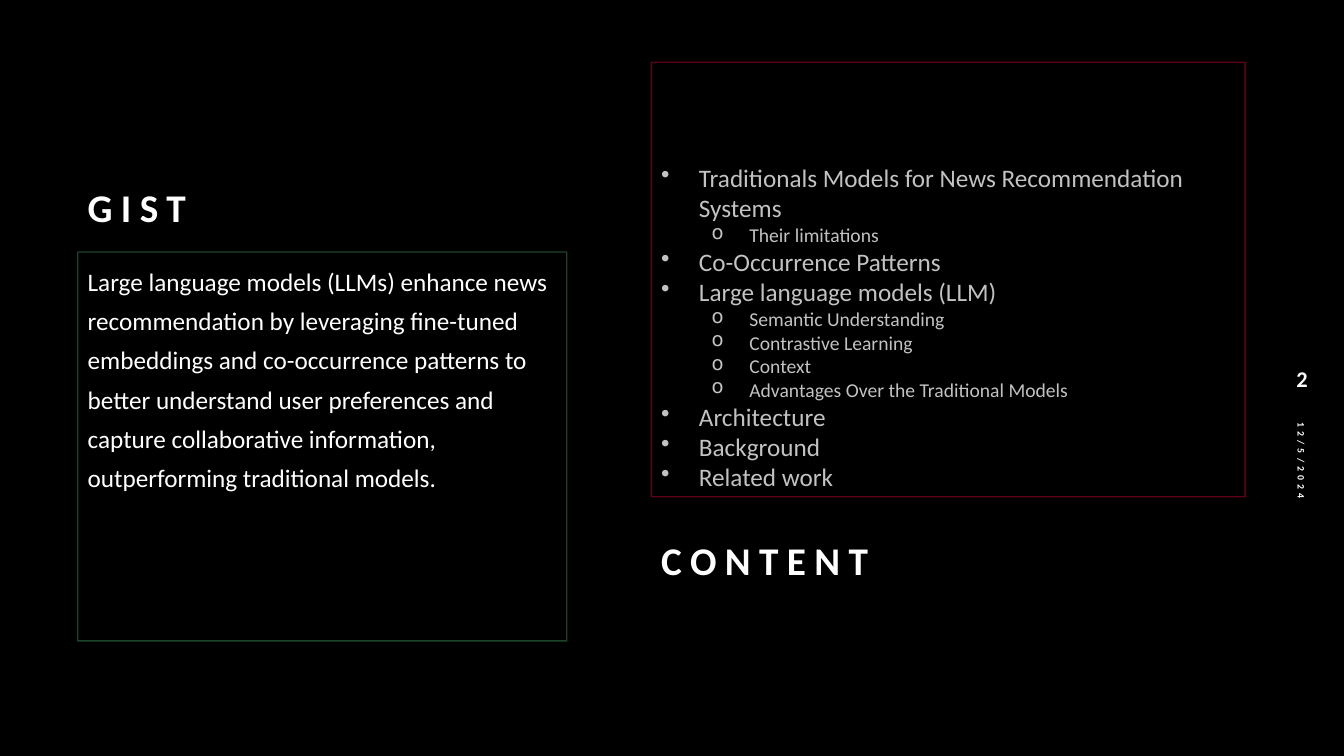
import pptx
import pptx.dml.color
import pptx.enum.shapes
import pptx.enum.text
import pptx.oxml
import pptx.oxml.ns
import pptx.util
from pptx.util import Cm

ALIGN = pptx.enum.text.PP_ALIGN
ANCHOR = pptx.enum.text.MSO_ANCHOR
WHITE, GREY = "FFFFFF", "C2C2C2"


def rgb(hex_colour):
    return pptx.dml.color.RGBColor.from_string(hex_colour)


def write(frame, text, size, colour=WHITE, bold=False, tracking=0, align=ALIGN.LEFT,
          anchor=ANCHOR.TOP, spacing=None, before=0, bullet=None, indent=0):
    """Add one paragraph to the frame, filling its first one if that is empty."""
    frame.word_wrap = True
    frame.vertical_anchor = anchor
    paragraph = frame.add_paragraph() if frame.text else frame.paragraphs[0]
    paragraph.alignment = align
    paragraph.space_before = pptx.util.Pt(before)
    if spacing:
        paragraph.line_spacing = spacing
    run = paragraph.add_run()
    run.text = text
    run.font.name = "Calibri"
    run.font.size = pptx.util.Pt(size)
    run.font.bold = bold
    run.font.color.rgb = rgb(colour)
    if tracking:
        run._r.get_or_add_rPr().set("spc", str(tracking * 100))
    if bullet:
        properties = paragraph._p.get_or_add_pPr()
        properties.set("marL", str(Cm(indent)))
        properties.set("indent", str(Cm(-0.95)))
        mark = pptx.oxml.parse_xml(f'<a:buChar {pptx.oxml.ns.nsdecls("a")} char="{bullet}"/>')
        properties.append(mark)


deck = pptx.Presentation()
deck.slide_width, deck.slide_height = Cm(33.86), Cm(19.05)
slide = deck.slides.add_slide(deck.slide_layouts[6])
slide.background.fill.solid()
slide.background.fill.fore_color.rgb = rgb("000000")

# Headings
for heading, left, top in [("GIST", 1.96, 3.61), ("CONTENT", 16.41, 12.52)]:
    heading_box = slide.shapes.add_textbox(Cm(left), Cm(top), Cm(9.96), Cm(2.31))
    write(heading_box.text_frame, heading, 28, bold=True, tracking=6,
          anchor=ANCHOR.BOTTOM, spacing=1.2)

# Outlined panels
panels = []
for left, top, width, height, colour, opacity in [
    (1.96, 6.35, 12.32, 9.8, "40945E", 45),
    (16.41, 1.57, 14.96, 10.95, "FF0040", 37),
]:
    panel = slide.shapes.add_shape(pptx.enum.shapes.MSO_SHAPE.RECTANGLE,
                                   Cm(left), Cm(top), Cm(width), Cm(height))
    panel.shadow.inherit = False
    panel.fill.background()
    panel.line.color.rgb = rgb(colour)
    panel.line.width = pptx.util.Pt(1)
    line_colour = panel._element.spPr.find(".//" + pptx.oxml.ns.qn("a:srgbClr"))
    line_colour.append(pptx.oxml.parse_xml(
        f'<a:alpha {pptx.oxml.ns.nsdecls("a")} val="{opacity * 1000}"/>'))
    panels.append(panel.text_frame)
gist, contents = panels

write(gist, "Large language models (LLMs) enhance news recommendation by leveraging "
      "fine-tuned embeddings and co-occurrence patterns to better understand user "
      "preferences and capture collaborative information, outperforming traditional models.",
      18, spacing=1.3, before=10)

topics = [
    ("Traditionals Models for News Recommendation Systems", ["Their limitations"]),
    ("Co-Occurrence Patterns", []),
    ("Large language models (LLM)", ["Semantic Understanding", "Contrastive Learning",
                                     "Context", "Advantages Over the Traditional Models"]),
    ("Architecture", []),
    ("Background", []),
    ("Related work", []),
]
for topic, subtopics in topics:
    write(contents, topic, 18, GREY, anchor=ANCHOR.BOTTOM, bullet="•", indent=0.95)
    for subtopic in subtopics:
        write(contents, subtopic, 14, GREY, anchor=ANCHOR.BOTTOM, bullet="o", indent=2.22)

# Date and page number in the right margin
date = slide.shapes.add_textbox(Cm(29.08), Cm(13.59), Cm(7.42), Cm(1.02))
date.rotation = 90
write(date.text_frame, "12/5/2024", 7, bold=True, tracking=3, anchor=ANCHOR.MIDDLE)

page_number = slide.shapes.add_textbox(Cm(31.93), Cm(8.94), Cm(1.75), Cm(1.19))
write(page_number.text_frame, "2", 16, bold=True, align=ALIGN.CENTER, anchor=ANCHOR.MIDDLE)

deck.save("out.pptx")
